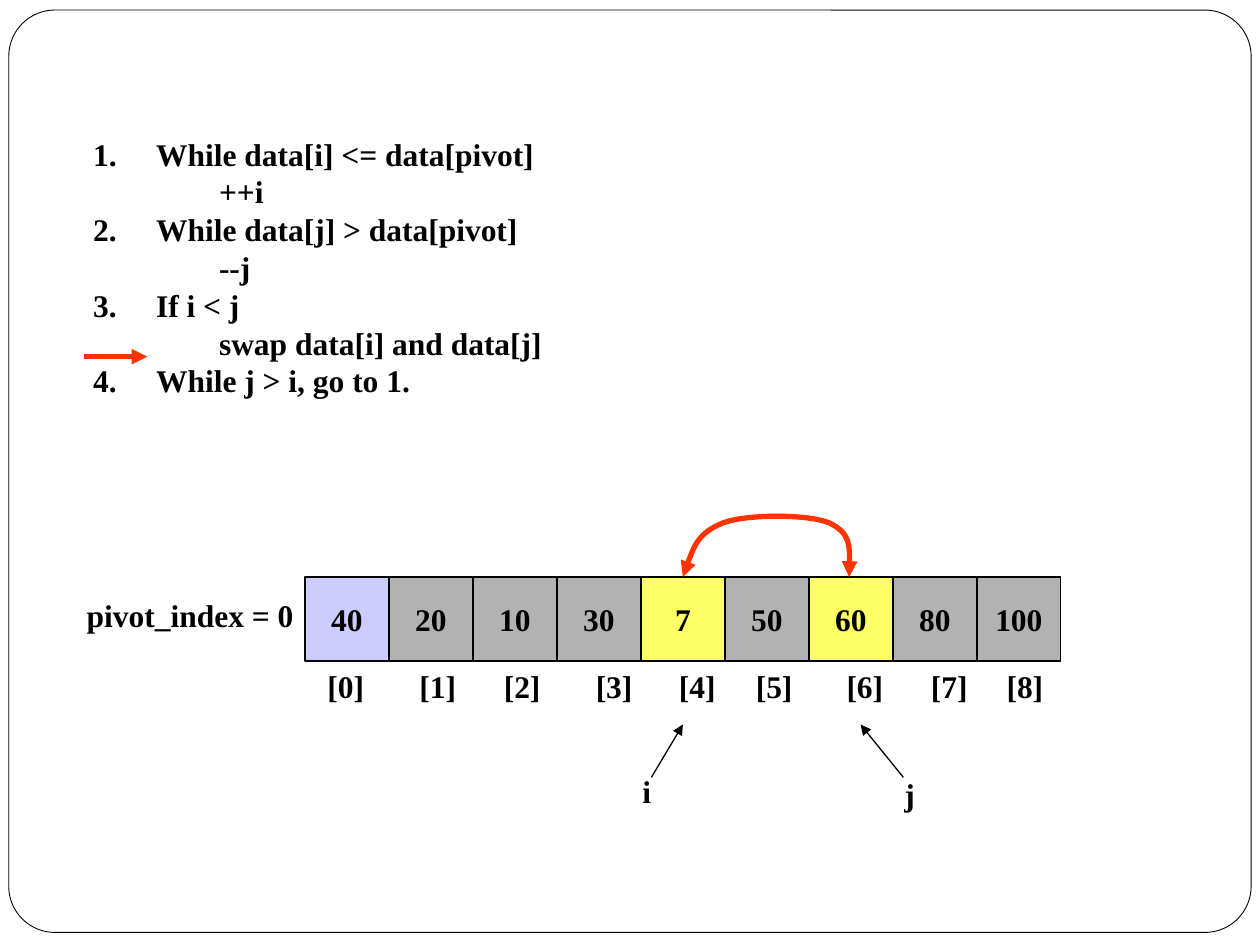
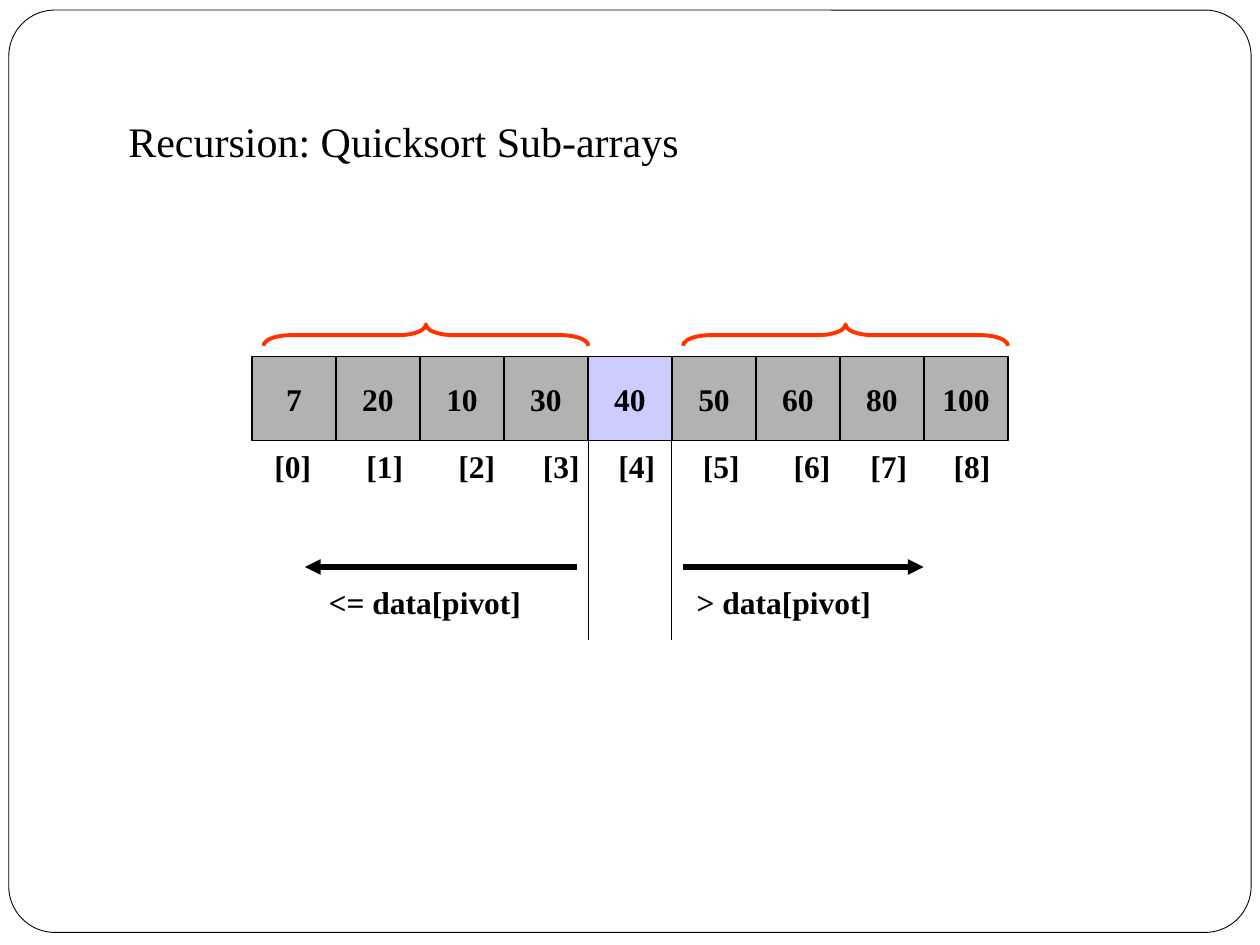
from lxml.etree import SubElement
from pptx import Presentation
from pptx.dml.color import RGBColor
from pptx.enum.shapes import MSO_CONNECTOR, MSO_SHAPE
from pptx.enum.text import MSO_ANCHOR, PP_ALIGN
from pptx.oxml.ns import qn
from pptx.util import Inches, Pt

FONT = "Times New Roman"
BLACK, RED = "000000", "FF3300"
PLAIN, PIVOT, SWAPPED = "B2B2B2", "CCCCFF", "FFFF66"
CELL = 2 / 3
LINE_HEIGHT = 0.4

STEPS = [
    (0, "While data[i] <= data[pivot]"),
    (1, "++i"),
    (0, "While data[j] > data[pivot]"),
    (1, "--j"),
    (0, "If i < j"),
    (1, "swap data[i] and data[j]"),
    (0, "While j > i, go to 1."),
]
# Index stops are measured from the first index label.
SWAP_ARRAY = dict(
    values=[40, 20, 10, 30, 7, 50, 60, 80, 100],
    left=2.42, top=4.58, fills={0: PIVOT, 4: SWAPPED, 6: SWAPPED},
    index_left=2.5,
    index_stops=[0.73, 1.4, 2.13, 2.79, 3.4, 4.12, 4.79, 5.39],
)
SPLIT_ARRAY = dict(
    values=[7, 20, 10, 30, 40, 50, 60, 80, 100],
    left=2, top=2.83, fills={4: PIVOT},
    index_left=2.08,
    index_stops=[0.73, 1.46, 2.13, 2.73, 3.4, 4.12, 4.73, 5.39],
)
SWAP_LABELS = [
    ("pivot_index = 0", 0.59, 4.68, 1.84),
    ("i", 5, 6.08, 0.42),
    ("j", 7.08, 6.1, 0.33),
]
SWAP_ARROWS = [
    ((7.17, 6.17), (6.83, 5.75), BLACK, 0.75),
    ((5.17, 6.17), (5.42, 5.75), BLACK, 0.75),
    ((0.67, 2.83), (1.17, 2.83), RED, 3),
]
SWAP_CURVE = [
    (5.42, 4.58),
    (5.48, 4.4), (5.54, 4.23), (5.74, 4.15),
    (5.93, 4.08), (6.41, 4.08), (6.58, 4.15),
    (6.75, 4.23), (6.75, 4.4), (6.74, 4.58),
]
SPLIT_TITLE = "Recursion: Quicksort Sub-arrays"
SPLIT_LABELS = [
    ("<= data[pivot]", 2.51, 4.58, 1.73),
    ("> data[pivot]", 5.43, 4.58, 1.58),
]
SPLIT_ARROWS = [
    ((4.58, 4.5), (2.42, 4.5), BLACK, 3),
    ((5.42, 4.5), (7.33, 4.5), BLACK, 3),
]
PIVOT_BORDERS = [4.67, 5.33]
BRACE_CENTERS = [3.38, 6.71]


def color(hex_code):
    return RGBColor.from_string(hex_code)


def set_line(line, hex_code, width):
    line.color.rgb = color(hex_code)
    line.width = Pt(width)


def add_heads(line, *ends):
    """Put arrowheads on the given ends: headEnd is the start, tailEnd the finish."""
    for end in ends:
        SubElement(line._get_or_add_ln(), qn(f"a:{end}"), type="triangle")


def style(paragraph, size=18, bold=True):
    for run in paragraph.runs:
        run.font.name, run.font.size, run.font.bold = FONT, Pt(size), bold
        run.font.color.rgb = color(BLACK)


def add_text(slide, words, left, top, width, height=LINE_HEIGHT, **font):
    box = slide.shapes.add_textbox(*map(Inches, (left, top, width, height)))
    frame = box.text_frame
    frame.word_wrap = True
    frame.margin_right = 0
    frame.text = words
    for paragraph in frame.paragraphs:
        style(paragraph, **font)
    return frame


def add_outline(slide, kind, left, top, width, height, hex_code, weight):
    shape = slide.shapes.add_shape(kind, *map(Inches, (left, top, width, height)))
    shape.shadow.inherit = False
    shape.fill.background()
    set_line(shape.line, hex_code, weight)
    return shape


def add_line(slide, start, end, hex_code, width, arrow=True):
    line = slide.shapes.add_connector(
        MSO_CONNECTOR.STRAIGHT, *map(Inches, (*start, *end)))
    set_line(line.line, hex_code, width)
    if arrow:
        add_heads(line.line, "tailEnd")
    SubElement(line._element.spPr, qn("a:effectLst"))


def add_array(slide, values, left, top, fills, index_left, index_stops):
    for i, value in enumerate(values):
        cell = add_outline(slide, MSO_SHAPE.RECTANGLE, left + i * CELL, top,
                           CELL, CELL, BLACK, 0.75)
        cell.fill.solid()
        cell.fill.fore_color.rgb = color(fills.get(i, PLAIN))
        frame = cell.text_frame
        frame.word_wrap = False
        frame.vertical_anchor = MSO_ANCHOR.MIDDLE
        frame.text = str(value)
        frame.paragraphs[0].alignment = PP_ALIGN.CENTER
        style(frame.paragraphs[0])

    indices = "\t".join(f"[{i}]" for i in range(len(values)))
    frame = add_text(slide, indices, index_left, top + CELL, 5.88)
    tabs = SubElement(frame.paragraphs[0]._p.get_or_add_pPr(), qn("a:tabLst"))
    for stop in index_stops:
        SubElement(tabs, qn("a:tab"), pos=str(Inches(stop)), algn="l")


def add_steps(slide):
    words = "\n".join(step for _, step in STEPS)
    frame = add_text(slide, words, 0.64, 1.02, 4.76, 3.1)
    for paragraph, (level, _) in zip(frame.paragraphs, STEPS):
        paragraph.level = level
        properties = paragraph._p.get_or_add_pPr()
        properties.set("marL", str(Inches(0.5 + 0.5 * level)))
        properties.set("indent", str(0 if level else Inches(-0.5)))
        if level == 0:
            SubElement(properties, qn("a:buFont"), typeface=FONT)
            SubElement(properties, qn("a:buAutoNum"), type="arabicPeriod")


def add_curve(slide, points):
    """Draw Bezier segments: a start, then two controls and an end for each."""
    start, *rest = [tuple(map(Inches, point)) for point in points]
    builder = slide.shapes.build_freeform(*start)
    builder.add_line_segments(rest, close=False)
    curve = builder.convert_to_shape()
    curve.shadow.inherit = False
    curve.fill.background()
    set_line(curve.line, RED, 3)
    add_heads(curve.line, "headEnd", "tailEnd")
    outline = next(curve._element.iter(qn("a:pathLst")))[0]
    corners = outline.findall(qn("a:lnTo"))
    for i in range(0, len(corners), 3):
        bezier = SubElement(outline, qn("a:cubicBezTo"))
        for corner in corners[i:i + 3]:
            bezier.append(corner[0])
            outline.remove(corner)


def add_framed_slide(deck):
    slide = deck.slides.add_slide(deck.slide_layouts[6])
    frame = add_outline(slide, MSO_SHAPE.ROUNDED_RECTANGLE,
                        0.07, 0.08, 9.86, 7.32, BLACK, 0.5)
    frame.adjustments[0] = 0.05
    return slide


def add_labels_and_arrows(slide, labels, arrows):
    for label in labels:
        add_text(slide, *label)
    for arrow in arrows:
        add_line(slide, *arrow)


def build_swap_slide(deck):
    slide = add_framed_slide(deck)
    add_steps(slide)
    add_array(slide, **SWAP_ARRAY)
    add_labels_and_arrows(slide, SWAP_LABELS, SWAP_ARROWS)
    add_curve(slide, SWAP_CURVE)


def build_split_slide(deck):
    slide = add_framed_slide(deck)
    title = add_text(slide, SPLIT_TITLE, 0.92, 0.75, 4.75, 0.67,
                     size=24, bold=False)
    title.vertical_anchor = MSO_ANCHOR.BOTTOM
    title.margin_bottom = Inches(0.1)
    add_array(slide, **SPLIT_ARRAY)
    for x in PIVOT_BORDERS:
        add_line(slide, (x, 2.83), (x, 5.08), BLACK, 0.75, arrow=False)
    add_labels_and_arrows(slide, SPLIT_LABELS, SPLIT_ARROWS)
    depth, span, middle = 0.17, 2.58, 2.66
    for center in BRACE_CENTERS:
        brace = add_outline(slide, MSO_SHAPE.LEFT_BRACE, center - depth / 2,
                            middle - span / 2, depth, span, RED, 2.25)
        brace.rotation = 90
        brace.adjustments[0] = 1.29


def main():
    deck = Presentation()
    deck.slide_width, deck.slide_height = Inches(10), Inches(7.5)
    build_swap_slide(deck)
    build_split_slide(deck)
    deck.save("out.pptx")


if __name__ == "__main__":
    main()
